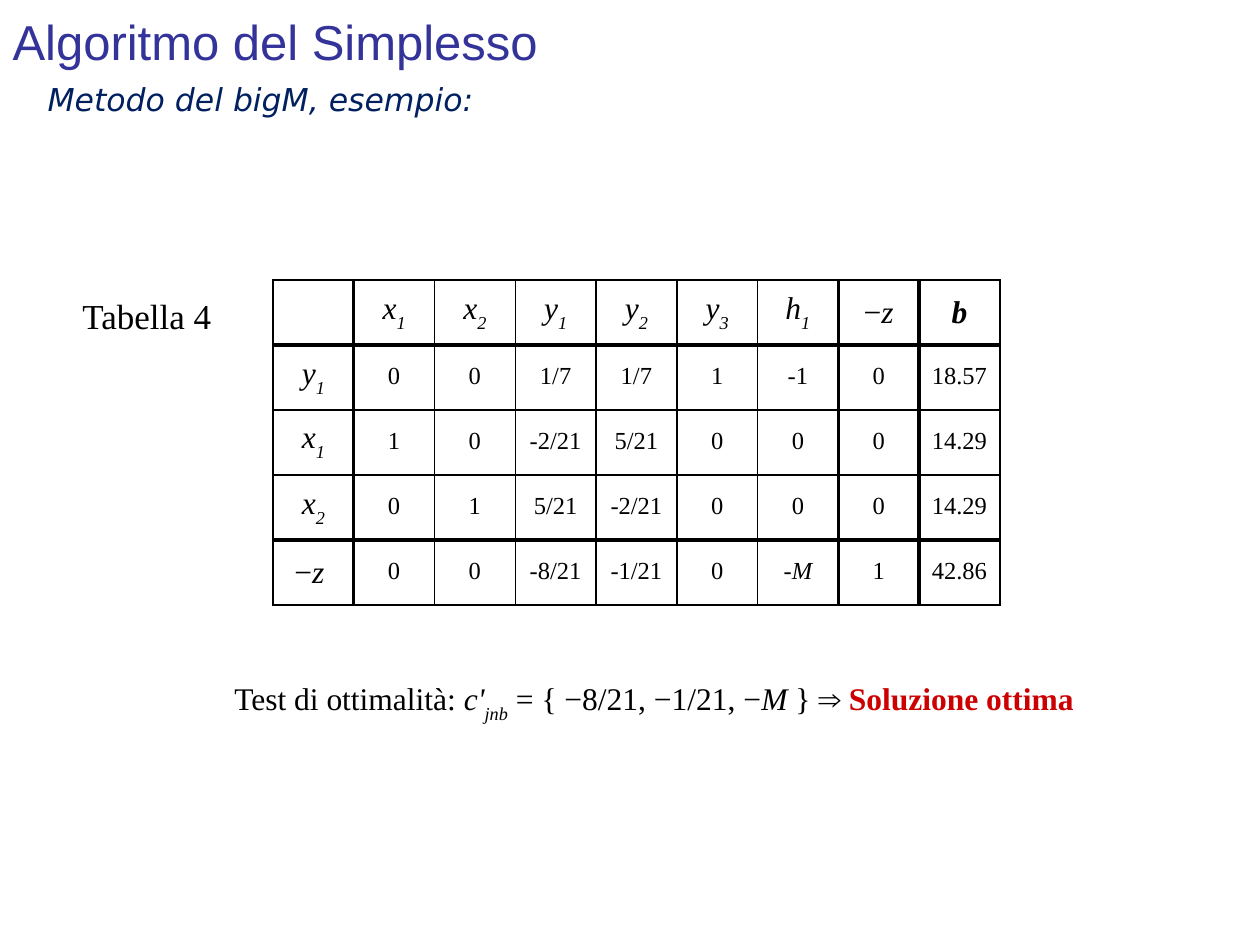
from lxml import etree
from pptx import Presentation
from pptx import util as u
from pptx.dml.color import RGBColor
from pptx.enum import text
from pptx.oxml.ns import qn

COLORS = {"title": "333399", "subtitle": "002060", "ink": "000000", "result": "CC0000"}
SERIF = "Times New Roman"
PLAIN_TABLE_STYLE = "{2D5ABB26-0587-4C30-8999-92F81FD0307C}"

# Runs are (text, marks): i = italic, b = bold, s = subscript
TITLE = [("Algoritmo del Simplesso", "")]
SUBTITLE = [("Metodo del bigM, esempio:", "i")]
CAPTION = [("Tabella 4", "")]
TEST = [("Test di ottimalità: ", ""), ("c'", "i"), ("jnb", "is"),
        (" = { −8/21, −1/21, −", ""), ("M ", "i"), ("}", "")]
RESULT = [("⇒ ", ""), ("Soluzione ottima", "b")]

# The ruled grid holds the symbols; the values lie over it in a table without rules
BLANKS = [""] * 8
SYMBOLS = [
    ["", "x_1", "x_2", "y_1", "y_2", "y_3", "h_1", [("−", ""), ("z", "i")], [("b", "ib")]],
    ["y_1", *BLANKS],
    ["", *BLANKS],
    ["x_2", *BLANKS],
    [[("−", ""), ("z ", "i")], *BLANKS],
]
VALUES = [
    ["", *BLANKS],
    ["", "0", "0", "1/7", "1/7", "1", "-1", "0", "18.57"],
    ["x_1", "1", "0", "-2/21", "5/21", "0", "0", "0", "14.29"],
    ["", "0", "1", "5/21", "-2/21", "0", "0", "0", "14.29"],
    ["", "0", "0", "-8/21", "-1/21", "0", [("-", ""), ("M", "i")], "1", "42.86"],
]
TABLE_WIDTH, TABLE_HEIGHT = 727, 325
THICK_COLUMN_EDGES = {1, 7, 8}
THICK_ROW_EDGES = {1, 4}
THIN, THICK = 1, 2.25


def px(length):
    return u.Emu(round(length * 914400 / 126))


def place(shape, left, top, width, height):
    shape.left, shape.top, shape.width, shape.height = map(px, (left, top, width, height))


def as_runs(content):
    """Turn 'x_1' into an italic letter with a subscript, other strings into one run."""
    if not isinstance(content, str):
        return content
    letter, mark, index = content.partition("_")
    return [(letter, "i"), (index, "is")] if mark else [(content, "")]


def write(para, runs, size, font=SERIF, color="ink", bold_color=None, align="LEFT"):
    para.alignment = getattr(text.PP_ALIGN, align)
    for words, marks in runs:
        span = para.add_run()
        span.text = words
        look = {"name": font, "size": u.Pt(size), "italic": "i" in marks, "bold": "b" in marks}
        for name, value in look.items():
            setattr(span.font, name, value)
        shade = bold_color if bold_color and "b" in marks else color
        span.font.color.rgb = RGBColor.from_string(COLORS[shade])
        if "s" in marks:
            span.font._element.set("baseline", "-30000")


def add_text(page, area, runs, size, **look):
    box = page.shapes.add_textbox(*map(px, area))
    box.text_frame.word_wrap = True
    write(box.text_frame.paragraphs[0], runs, size, **look)


def add_borders(cell, row, column):
    edges = {
        "a:lnL": column in THICK_COLUMN_EDGES,
        "a:lnR": column + 1 in THICK_COLUMN_EDGES,
        "a:lnT": row in THICK_ROW_EDGES,
        "a:lnB": row + 1 in THICK_ROW_EDGES,
    }
    properties = cell._tc.get_or_add_tcPr()
    for tag, thick in edges.items():
        line = etree.SubElement(properties, qn(tag), w=str(u.Pt(THICK if thick else THIN)))
        fill = etree.SubElement(line, qn("a:solidFill"))
        etree.SubElement(fill, qn("a:srgbClr"), val=COLORS["ink"])


def add_grid(page, left, top, grid, value_size, ruled):
    area = (left, top, TABLE_WIDTH, TABLE_HEIGHT)
    table = page.shapes.add_table(len(grid), len(grid[0]), *map(px, area)).table
    table.first_row = table.horz_banding = False
    table._tbl.tblPr.find(qn("a:tableStyleId")).text = PLAIN_TABLE_STYLE
    for column in table.columns:
        column.width = px(TABLE_WIDTH / len(grid[0]))
    for line in table.rows:
        line.height = px(TABLE_HEIGHT / len(grid))
    for r, contents in enumerate(grid):
        for c, content in enumerate(contents):
            cell = table.cell(r, c)
            if ruled:
                add_borders(cell, r, c)
            cell.fill.background()
            cell.vertical_anchor = text.MSO_ANCHOR.MIDDLE
            cell.margin_left = cell.margin_right = 0
            if content:
                size = 18 if c == 0 else value_size
                write(cell.text_frame.paragraphs[0], as_runs(content), size, align="CENTER")


def add_headings(page):
    title, subtitle = page.shapes.title, page.placeholders[1]
    place(title, 0, -4, 1134, 90)
    place(subtitle, 35, 74, 1074, 50)
    title.text_frame.vertical_anchor = text.MSO_ANCHOR.MIDDLE
    write(title.text_frame.paragraphs[0], TITLE, 28, font="Arial", color="title")
    para = subtitle.text_frame.paragraphs[0]
    para.space_before = u.Pt(0)
    properties = para._p.get_or_add_pPr()
    properties.set("marL", "0")
    properties.set("indent", "0")
    etree.SubElement(properties, qn("a:buNone"))
    write(para, SUBTITLE, 18, font="DejaVu Sans", color="subtitle")


def main():
    deck = Presentation()
    deck.slide_width, deck.slide_height = px(1260), px(945)
    page = deck.slides.add_slide(deck.slide_layouts[1])
    add_headings(page)
    add_grid(page, 273, 280, SYMBOLS, value_size=18, ruled=True)
    add_text(page, (70, 288, 175, 54), CAPTION, 20)
    add_text(page, (222, 673, 606, 50), TEST, 18, align="JUSTIFY")
    add_grid(page, 273, 279, VALUES, value_size=14, ruled=False)
    add_text(page, (806, 673, 427, 50), RESULT, 18, bold_color="result")
    deck.save("out.pptx")


if __name__ == "__main__":
    main()
